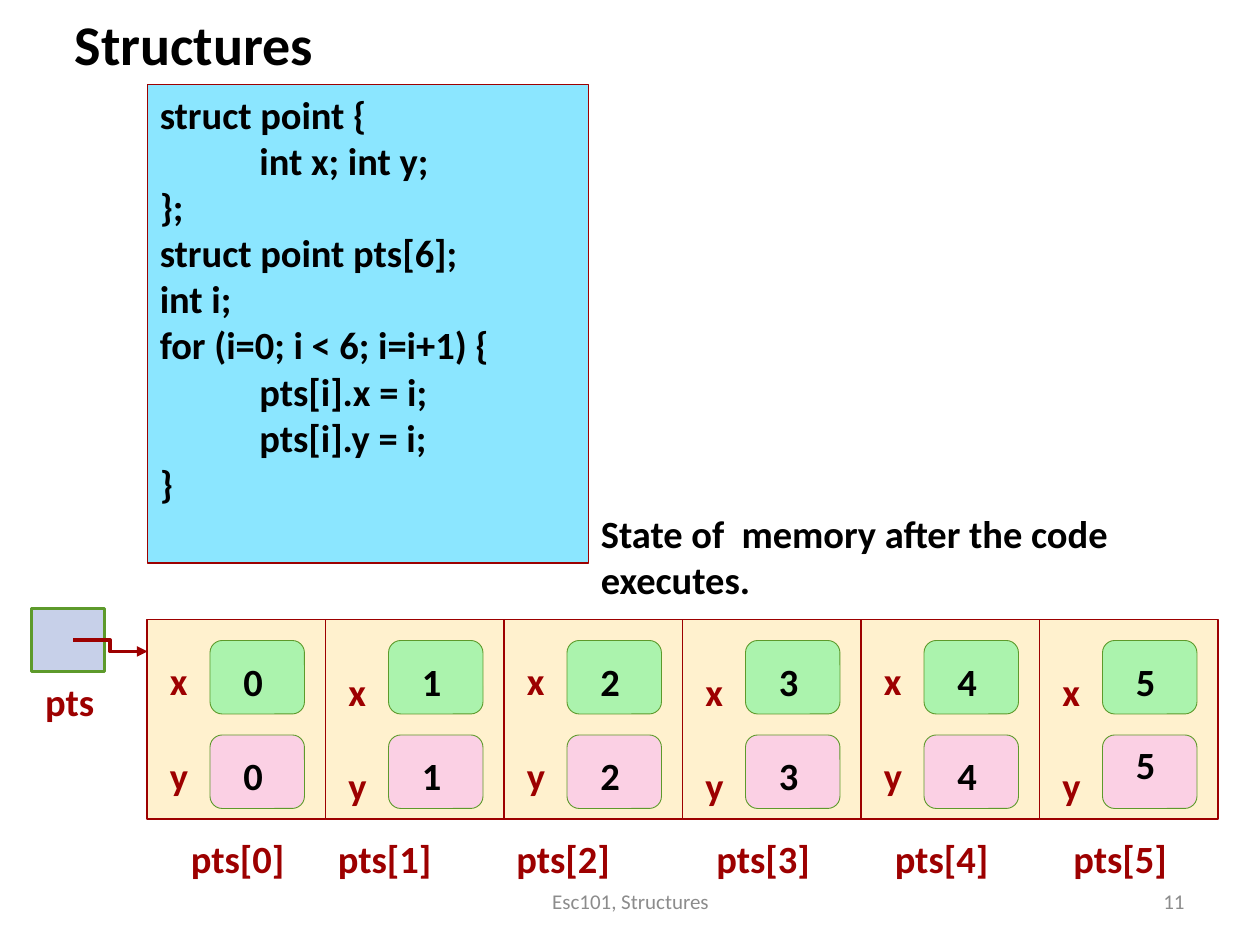
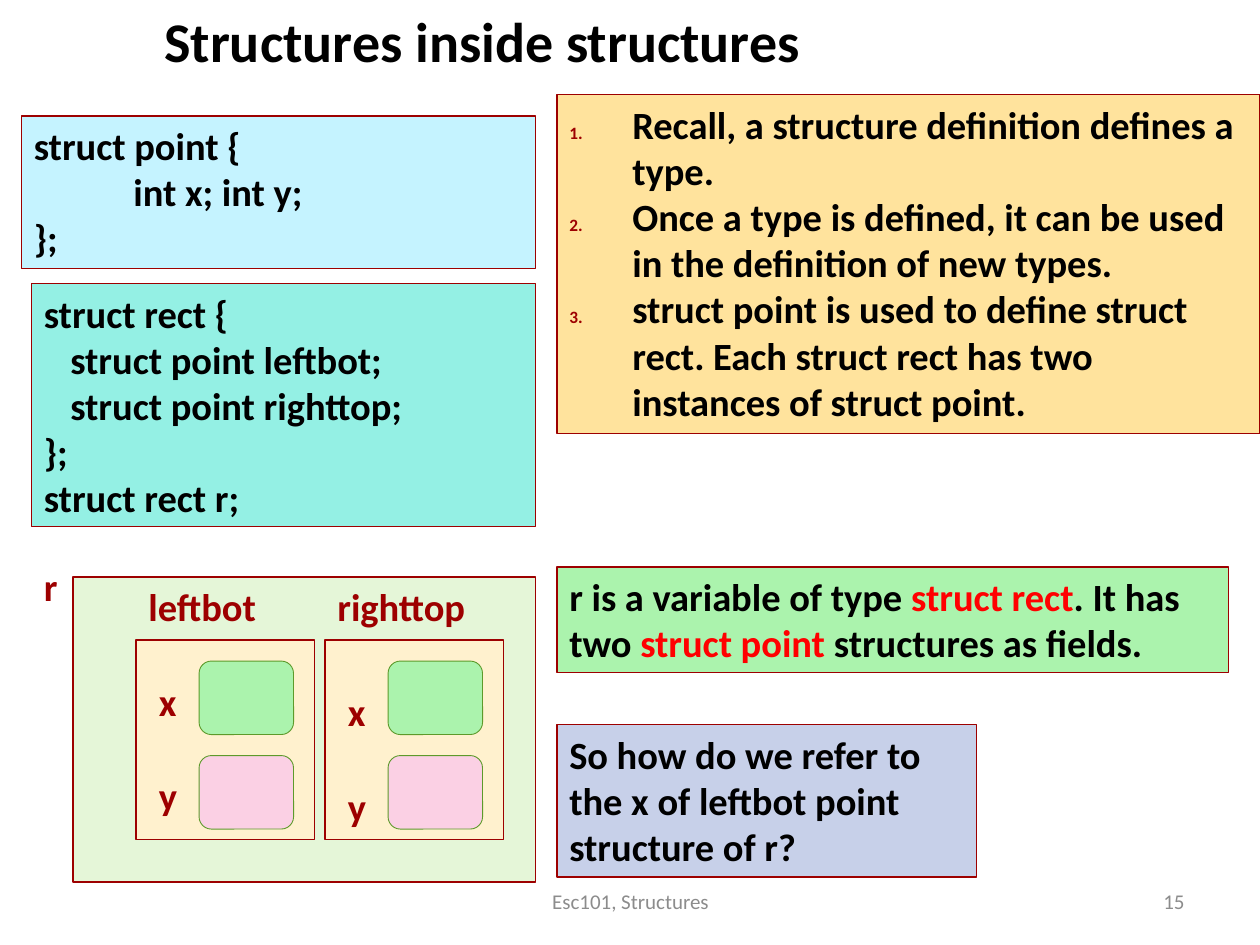
from dataclasses import dataclass
import lxml.etree
import pptx
import pptx.dml.color
import pptx.enum.shapes
import pptx.enum.text
import pptx.oxml
import pptx.oxml.ns
import pptx.util

RGBColor = pptx.dml.color.RGBColor
Inches = pptx.util.Inches
Kind = pptx.enum.shapes.MSO_SHAPE
Align = pptx.enum.text.PP_ALIGN
Anchor = pptx.enum.text.MSO_ANCHOR
qn = pptx.oxml.ns.qn

# Shared colours
BLACK = RGBColor(0x00, 0x00, 0x00)
RED = RGBColor(0xFF, 0x00, 0x00)
MAROON = RGBColor(0x9D, 0x00, 0x00)
GREY = RGBColor(0x8C, 0x8C, 0x8C)
LEAF = RGBColor(0x5D, 0x9A, 0x2B)
SKY = RGBColor(0x8B, 0xE6, 0xFF)
ICE = RGBColor(0xC5, 0xF3, 0xFF)
AQUA = RGBColor(0x94, 0xF0, 0xE4)
GOLD = RGBColor(0xFF, 0xE3, 0x9D)
CREAM = RGBColor(0xFF, 0xF1, 0xCE)
MINT = RGBColor(0xAB, 0xF3, 0xAD)
PINK = RGBColor(0xFB, 0xD0, 0xE4)
PALE = RGBColor(0xE5, 0xF6, 0xD8)
BLUE = RGBColor(0xC7, 0xD0, 0xE9)

# Shared sizes: shapes sit on a grid of twelfths of an inch
FONT = "Calibri"
UNIT = 1 / 12
CELL_W, CELL_H = 17 * UNIT, 19 * UNIT
TAB = 0.79
STEP = 0.21
ROW = 0.47


@dataclass
class Run:
    text: str
    color: RGBColor = BLACK


@dataclass
class Line:
    runs: list[Run]
    indent: float = 0
    count: bool = False


@dataclass
class Panel:
    left: float
    top: float
    width: float
    height: float
    fill: RGBColor
    lines: list[Line]


@dataclass
class Cell:
    """A struct point; its labels may sit one unit lower."""
    left: float
    top: float
    low: bool = False


def code(text: str, indent: float = 0) -> Line:
    return Line([Run(text)], indent)


def item(text: str) -> Line:
    return Line([Run(text)], 0.5, True)


def number(para) -> None:
    """Give a paragraph a small maroon number that hangs in its indent."""
    props = para._p.get_or_add_pPr()
    props.set("indent", str(-Inches(0.5)))
    tint = lxml.etree.SubElement(props, qn("a:buClr"))
    lxml.etree.SubElement(tint, qn("a:srgbClr")).set("val", str(MAROON))
    lxml.etree.SubElement(props, qn("a:buSzPct")).set("val", "45000")
    lxml.etree.SubElement(props, qn("a:buAutoNum")).set("type", "arabicPeriod")


def write(frame, lines: list[Line], size: float = 22, bold: bool = True,
          align=Align.LEFT, anchor=Anchor.TOP, wrap: bool = True) -> None:
    frame.word_wrap = wrap
    frame.vertical_anchor = anchor
    for i, line in enumerate(lines):
        para = frame.add_paragraph() if i else frame.paragraphs[0]
        para.alignment = align
        if line.indent:
            para._p.get_or_add_pPr().set("marL", str(Inches(line.indent)))
        if line.count:
            number(para)
        for part in line.runs:
            run = para.add_run()
            run.text = part.text
            run.font.name = FONT
            run.font.size = pptx.util.Pt(size)
            run.font.bold = bold
            run.font.color.rgb = part.color


def box(slide, kind, left: float, top: float, width: float, height: float,
        fill: RGBColor, edge: RGBColor = MAROON, weight: float = 0.75):
    shape = slide.shapes.add_shape(kind, Inches(left), Inches(top),
                                   Inches(width), Inches(height))
    shape.shadow.inherit = False
    shape.fill.solid()
    shape.fill.fore_color.rgb = fill
    shape.line.color.rgb = edge
    shape.line.width = pptx.util.Pt(weight)
    return shape


def text(slide, left: float, top: float, width: float, height: float,
         words: str, color: RGBColor = BLACK, **style) -> None:
    area = slide.shapes.add_textbox(Inches(left), Inches(top),
                                    Inches(width), Inches(height))
    write(area.text_frame, [Line([Run(words, color)])], **style)


def label(slide, left: float, top: float, width: float, words: str,
          color: RGBColor = MAROON) -> None:
    text(slide, left, top, width, ROW, words, color, wrap=False)


def panel(slide, spec_: Panel) -> None:
    shape = box(slide, Kind.RECTANGLE, spec_.left, spec_.top, spec_.width,
                spec_.height, spec_.fill)
    write(shape.text_frame, spec_.lines)


def cell(slide, one: Cell) -> None:
    box(slide, Kind.RECTANGLE, one.left, one.top, CELL_W, CELL_H, CREAM)
    for i, (name, fill) in enumerate((("x", MINT), ("y", PINK))):
        top = one.top + 2 * UNIT + i * 0.75
        box(slide, Kind.ROUNDED_RECTANGLE, one.left + 6 * UNIT, top,
            0.75, 7 * UNIT, fill, LEAF, 0.5)
        label(slide, one.left + UNIT, top + (2 if one.low else 1) * UNIT,
              0.34, name)


def arrow(slide, x1: float, y1: float, x2: float, y2: float) -> None:
    link = slide.shapes.add_connector(
        pptx.enum.shapes.MSO_CONNECTOR.ELBOW,
        Inches(x1), Inches(y1), Inches(x2), Inches(y2))
    link.line.color.rgb = MAROON
    link.line.width = pptx.util.Pt(2)
    stroke = link.line._get_or_add_ln()
    lxml.etree.SubElement(stroke, qn("a:tailEnd")).set("type", "triangle")
    lxml.etree.SubElement(link._element.spPr, qn("a:effectLst"))


def start(deck, title: str, top: float, width: float, page: int):
    """Add a blank slide with its title and footer."""
    slide = deck.slides.add_slide(deck.slide_layouts[6])
    text(slide, 0.08, top, width, 0.63, title, size=32, align=Align.CENTER)
    foot = dict(size=12, bold=False, anchor=Anchor.MIDDLE)
    text(slide, 7.17, 6.95, 2.33, 0.4, str(page), GREY,
         align=Align.RIGHT, **foot)
    text(slide, 3.42, 6.95, 3.17, 0.4, "Esc101, Structures", GREY,
         align=Align.CENTER, **foot)
    return slide


def array(deck) -> None:
    slide = start(deck, "Structures", 0.03, 2.92, 11)
    panel(slide, Panel(1.17, 0.67, 3.5, 3.8, SKY, [
        code("struct point {"),
        code("int x; int y;", TAB),
        code("};"),
        code("struct point pts[6];"),
        code("int i;"),
        code("for (i=0; i < 6; i=i+1) {"),
        code("pts[i].x = i;", TAB),
        code("pts[i].y = i;", TAB),
        code("}"),
    ]))
    text(slide, 4.67, 4, 5.08, 0.84,
         "State of  memory after the code executes.")

    # Six points in a row, with values and names
    left, top = 14 * UNIT, 59 * UNIT
    shifts = (0.25, 0, 0, 0.17, 0.17, 0.17)
    for i, shift in enumerate(shifts):
        x = left + i * CELL_W
        cell(slide, Cell(x, top, i % 2 == 1))
        last = i == len(shifts) - 1
        label(slide, x + 8 * UNIT, 5.17, 0.35, str(i), BLACK)
        label(slide, x + 8 * UNIT, 5.83 if last else 5.92, 0.35,
              str(i), BLACK)
        label(slide, x + shift, 6.58, 0.95, f"pts[{i}]")

    # The pointer to the first one
    box(slide, Kind.RECTANGLE, 0.25, 4.83, 0.58, 0.5, BLUE, LEAF, 2)
    label(slide, 0.26, 5.33, 0.59, "pts")
    arrow(slide, 0.58, 5.08, 1.17, 5.17)


def nested(deck) -> None:
    slide = start(deck, "Structures inside structures", 0, 7.5, 15)
    panels = [
        Panel(0.17, 0.92, 4.08, 1.21, ICE, [
            code("struct point {"),
            code("int x; int y;", TAB),
            code("};"),
        ]),
        Panel(4.42, 0.75, 5.58, 2.69, GOLD, [
            item("Recall, a structure definition defines a type."),
            item("Once a type is defined, it can be used in the "
                 "definition of new types."),
            item("struct point is used to define struct rect. Each "
                 "struct rect has two instances of struct point."),
        ]),
        Panel(0.25, 2.25, 4, 1.93, AQUA, [
            code("struct rect {"),
            code("struct point leftbot;", STEP),
            code("struct point righttop;", STEP),
            code("};"),
            code("struct rect r;"),
        ]),
        Panel(4.42, 4.5, 5.33, 0.84, MINT, [Line([
            Run("r is a variable of type "),
            Run("struct rect", RED),
            Run(". It has two "),
            Run("struct point ", RED),
            Run("structures as fields."),
        ])]),
        Panel(4.42, 5.75, 3.33, 1.21, BLUE, [
            code("So how do we refer to the x of leftbot point "
                 "structure of r?"),
        ]),
    ]
    for each in panels:
        panel(slide, each)

    # The variable r with its two points
    box(slide, Kind.RECTANGLE, 0.58, 4.58, 3.67, 2.42, PALE)
    label(slide, 0.25, 4.42, 0.31, "r")
    for i, (name, width) in enumerate((("leftbot", 1.07),
                                       ("righttop", 1.23))):
        x = 1.08 + i * 1.5
        cell(slide, Cell(x, 5.08, i == 1))
        label(slide, x, 4.58, width, name)


deck = pptx.Presentation()
deck.slide_width = Inches(10)
deck.slide_height = Inches(7.5)
array(deck)
nested(deck)
deck.save("out.pptx")
